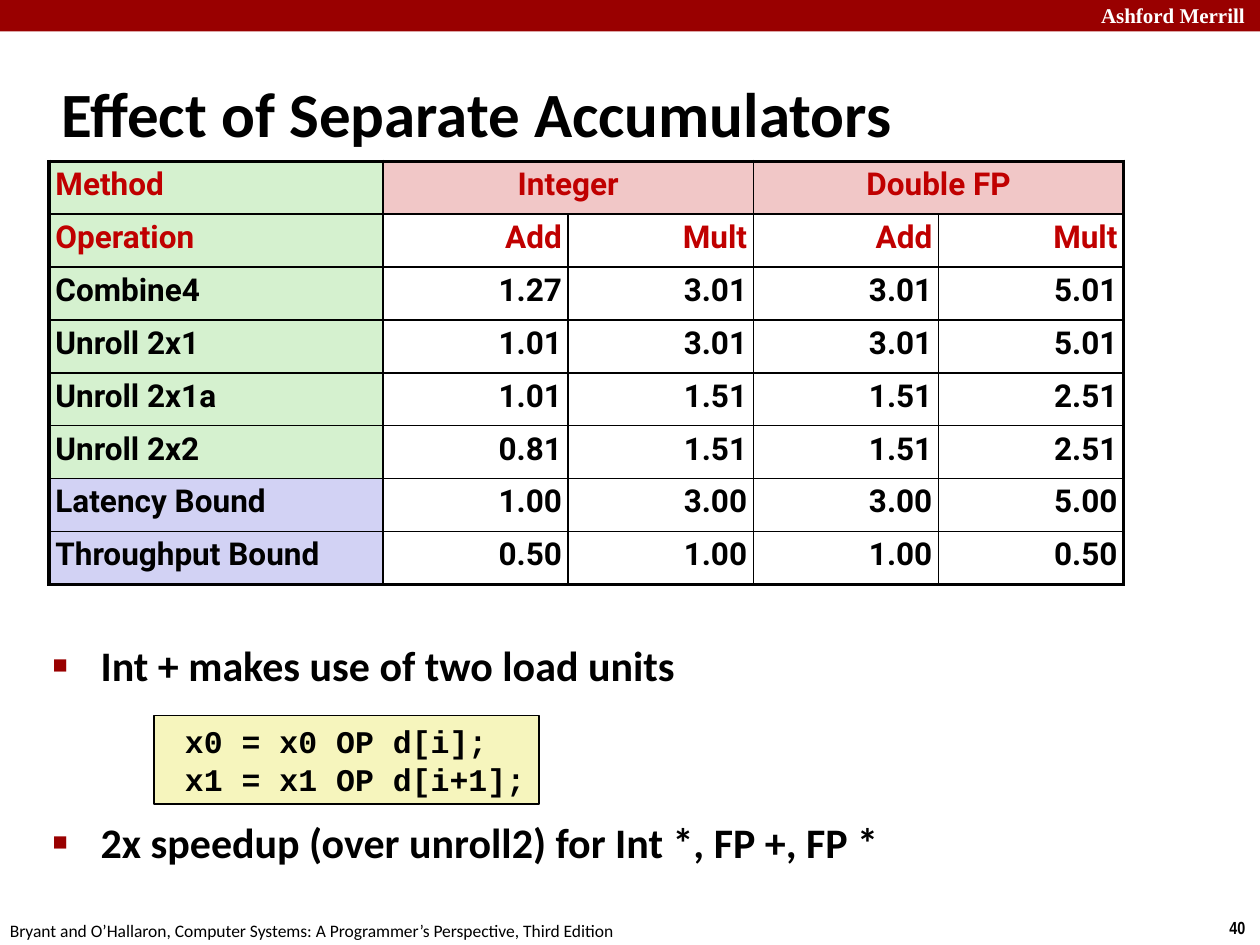
from dataclasses import dataclass

from lxml.etree import SubElement
from pptx import Presentation
from pptx.dml.color import RGBColor
from pptx.enum.shapes import MSO_SHAPE as Shape
from pptx.enum.text import MSO_ANCHOR as Anchor, PP_ALIGN as Align
from pptx.oxml.ns import qn
from pptx.util import Inches, Pt


@dataclass(frozen=True)
class Theme:
    black: str = "000000"
    white: str = "FFFFFF"
    brand: str = "990000"
    heading: str = "C00000"
    green: str = "D5F1CF"
    pink: str = "F1C7C7"
    lilac: str = "D2D2F4"
    cream: str = "F6F5BD"
    body_font: str = "Calibri"
    table_font: str = "Roboto"
    code_font: str = "Courier New"
    brand_font: str = "Times New Roman"
    number_font: str = "Arial Narrow"
    title_size: int = 36
    bullet_size: int = 24
    cell_size: int = 18
    brand_size: int = 12
    small_size: int = 10
    thin: float = 1
    thick: float = 2.25


HEADERS = ["Integer", "Double FP"]
ROWS = [
    ["Operation", "Add", "Mult", "Add", "Mult"],
    ["Combine4", "1.27", "3.01", "3.01", "5.01"],
    ["Unroll 2x1", "1.01", "3.01", "3.01", "5.01"],
    ["Unroll 2x1a", "1.01", "1.51", "1.51", "2.51"],
    ["Unroll 2x2", "0.81", "1.51", "1.51", "2.51"],
    ["Latency Bound", "1.00", "3.00", "3.00", "5.00"],
    ["Throughput Bound", "0.50", "1.00", "1.00", "0.50"],
]
BULLETS = [
    "Int + makes use of two load units",
    "2x speedup (over unroll2) for Int *, FP +, FP *",
]
CODE = [" x0 = x0 OP d[i];", " x1 = x1 OP d[i+1];"]


def rgb(color):
    return RGBColor.from_string(color)


def write(p, text, *, size, font, color=Theme.black, bold=True, align=Align.LEFT):
    p.alignment = align
    r = p.add_run()
    r.text = text
    r.font.size, r.font.name, r.font.bold = Pt(size), font, bold
    r.font.color.rgb = rgb(color)


def paragraphs(tf, count):
    """Return the frame's first paragraph and as many new ones as needed."""
    return [tf.paragraphs[0]] + [tf.add_paragraph() for _ in range(count - 1)]


def add_bullet(p, color, indent):
    pPr = p._p.get_or_add_pPr()
    pPr.set("marL", str(indent))
    pPr.set("indent", str(-indent))
    clr = SubElement(pPr, qn("a:buClr"))
    SubElement(clr, qn("a:srgbClr"), val=color)
    SubElement(pPr, qn("a:buSzPct"), val="60000")
    SubElement(pPr, qn("a:buFont"), typeface="Arial")
    SubElement(pPr, qn("a:buChar"), char="■")


def set_borders(cell, color, widths):
    """Draw the left, right, top and bottom edges, which precede the fill."""
    tcPr = cell._tc.get_or_add_tcPr()
    for i, (side, width) in enumerate(zip("LRTB", widths)):
        ln = SubElement(tcPr, qn(f"a:ln{side}"), w=str(Pt(width)))
        fill = SubElement(ln, qn("a:solidFill"))
        SubElement(fill, qn("a:srgbClr"), val=color)
        tcPr.insert(i, ln)


class SlideBuilder:
    def __init__(self, slide, theme):
        self.s, self.theme = slide, theme

    def box(self, x, y, w, h, fill, line=None):
        sp = self.s.shapes.add_shape(
            Shape.RECTANGLE, Inches(x), Inches(y), Inches(w), Inches(h))
        sp.shadow.inherit = False
        sp.fill.solid()
        sp.fill.fore_color.rgb = rgb(fill)
        if line:
            sp.line.color.rgb = rgb(line)
            sp.line.width = Pt(self.theme.thin)
        else:
            sp.line.fill.background()
        return sp

    def frame(self, x, y, w, h, wrap=True, anchor=Anchor.TOP):
        tf = self.s.shapes.add_textbox(
            Inches(x), Inches(y), Inches(w), Inches(h)).text_frame
        tf.word_wrap = wrap
        tf.vertical_anchor = anchor
        return tf

    def label(self, text, x, y, w, h, wrap=False, anchor=Anchor.TOP, **style):
        tf = self.frame(x, y, w, h, wrap, anchor)
        write(tf.paragraphs[0], text, **style)

    def bullets(self, items, x, y, w, h, gap):
        t = self.theme
        tf = self.frame(x, y, w, h)
        for i, (p, text) in enumerate(zip(paragraphs(tf, len(items)), items)):
            p.space_before = Pt(gap if i else 0)
            add_bullet(p, t.brand, Inches(0.38))
            write(p, text, size=t.bullet_size, font=t.body_font)

    def code(self, lines, x, y, w, h):
        t = self.theme
        tf = self.box(x, y, w, h, t.cream, t.black).text_frame
        tf.word_wrap = False
        tf.vertical_anchor = Anchor.MIDDLE
        for p, text in zip(paragraphs(tf, len(lines)), lines):
            write(p, text, size=t.cell_size, font=t.code_font)

    def cell(self, cell, text, fill, **style):
        t = self.theme
        cell.margin_left = cell.margin_right = Inches(0.05)
        cell.margin_top = cell.margin_bottom = Inches(0.05)
        if fill:
            cell.fill.solid()
            cell.fill.fore_color.rgb = rgb(fill)
        else:
            cell.fill.background()
        p = cell.text_frame.paragraphs[0]
        p.line_spacing = 0.95
        write(p, text, size=t.cell_size, font=t.table_font, **style)

    def timing_table(self, x, y, label_width, value_width, row_height):
        t = self.theme
        n_rows, n_cols = len(ROWS) + 1, len(ROWS[0])
        width = label_width + value_width * (n_cols - 1)
        tbl = self.s.shapes.add_table(
            n_rows, n_cols, Inches(x), Inches(y),
            Inches(width), Inches(row_height * n_rows)).table
        tbl.first_row = tbl.horz_banding = False
        for i, col in enumerate(tbl.columns):
            col.width = Inches(value_width if i else label_width)

        self.cell(tbl.cell(0, 0), "Method", t.green, color=t.heading)
        for i, text in enumerate(HEADERS):
            first = tbl.cell(0, 1 + 2 * i)
            first.merge(tbl.cell(0, 2 + 2 * i))
            self.cell(first, text, t.pink, color=t.heading, align=Align.CENTER)
        for r, row in enumerate(ROWS, 1):
            color = t.heading if r == 1 else t.black
            label_fill = t.lilac if row[0].endswith("Bound") else t.green
            for c, text in enumerate(row):
                self.cell(tbl.cell(r, c), text, None if c else label_fill,
                          color=color, align=Align.RIGHT if c else Align.LEFT)

        for r in range(n_rows):
            for c in range(n_cols):
                cell = tbl.cell(r, c)
                last = c + (cell.span_width if cell.is_merge_origin else 1)
                outer = (c == 0, last == n_cols, r == 0, r == n_rows - 1)
                set_borders(cell, t.black, [t.thick if o else t.thin for o in outer])


def main():
    prs = Presentation()
    prs.slide_width, prs.slide_height = Inches(10), Inches(7.5)
    t = Theme()
    b = SlideBuilder(prs.slides.add_slide(prs.slide_layouts[6]), t)

    b.box(0, 0, 10, 0.25, t.brand)
    b.label("Ashford Merrill", 8.64, -0.03, 1.43, 0.3,
            size=t.brand_size, font=t.brand_font, color=t.white)
    b.label("40", 9.66, 7.23, 0.34, 0.27, size=t.small_size, font=t.number_font)
    b.label("Bryant and O’Hallaron, Computer Systems: "
            "A Programmer’s Perspective, Third Edition",
            -0.02, 7.25, 5.08, 0.27,
            size=t.small_size, font=t.body_font, bold=False)
    b.label("Effect of Separate Accumulators", 0.39, 0.48, 8.3, 0.83,
            wrap=True, anchor=Anchor.MIDDLE, size=t.title_size, font=t.body_font)
    b.bullets(BULLETS, 0.32, 5.03, 9.09, 2.05, gap=72)
    b.code(CODE, 1.22, 5.68, 3.06, 0.7)
    b.timing_table(0.39, 1.28, label_width=2.65, value_width=1.47, row_height=0.42)
    prs.save("out.pptx")


if __name__ == "__main__":
    main()
